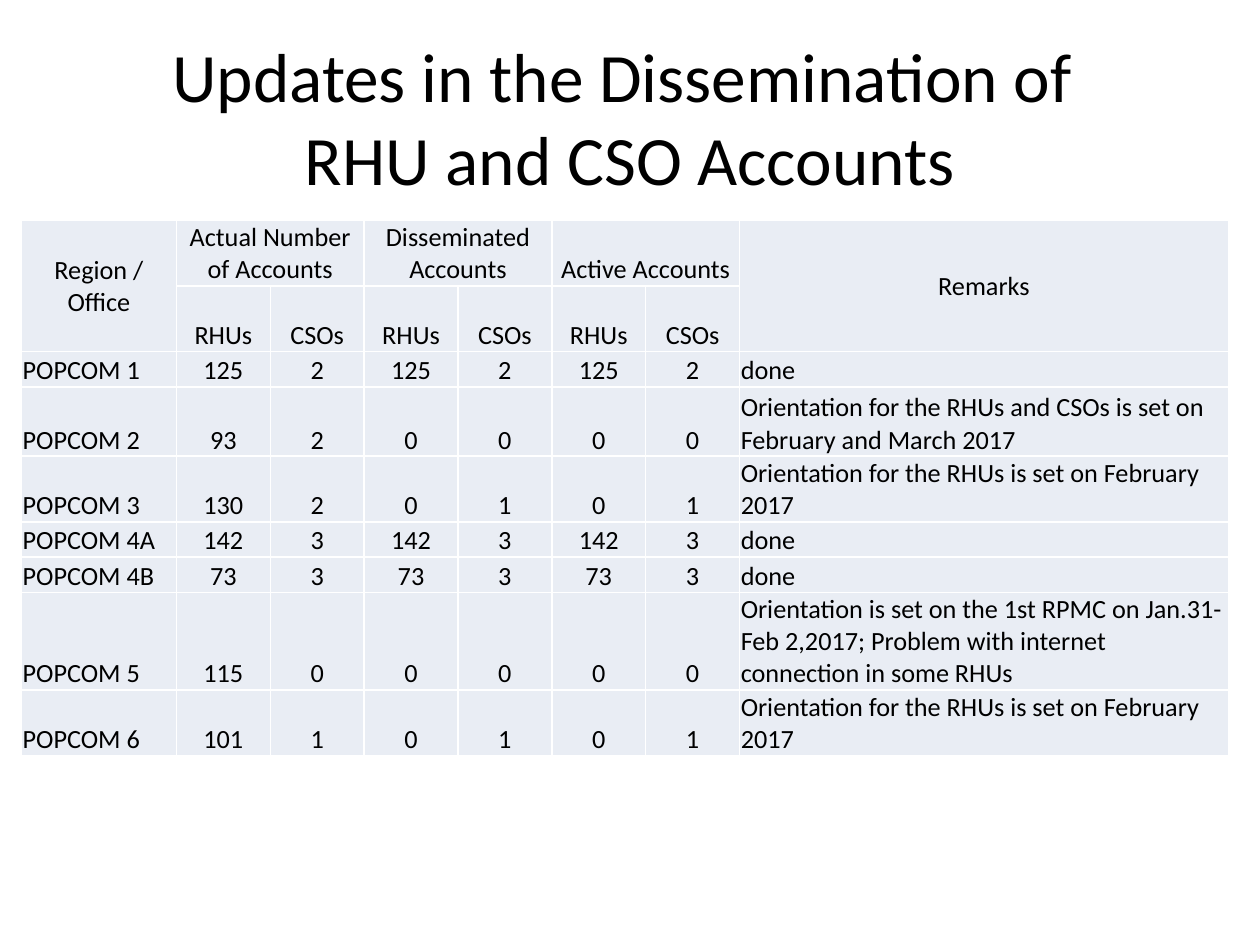
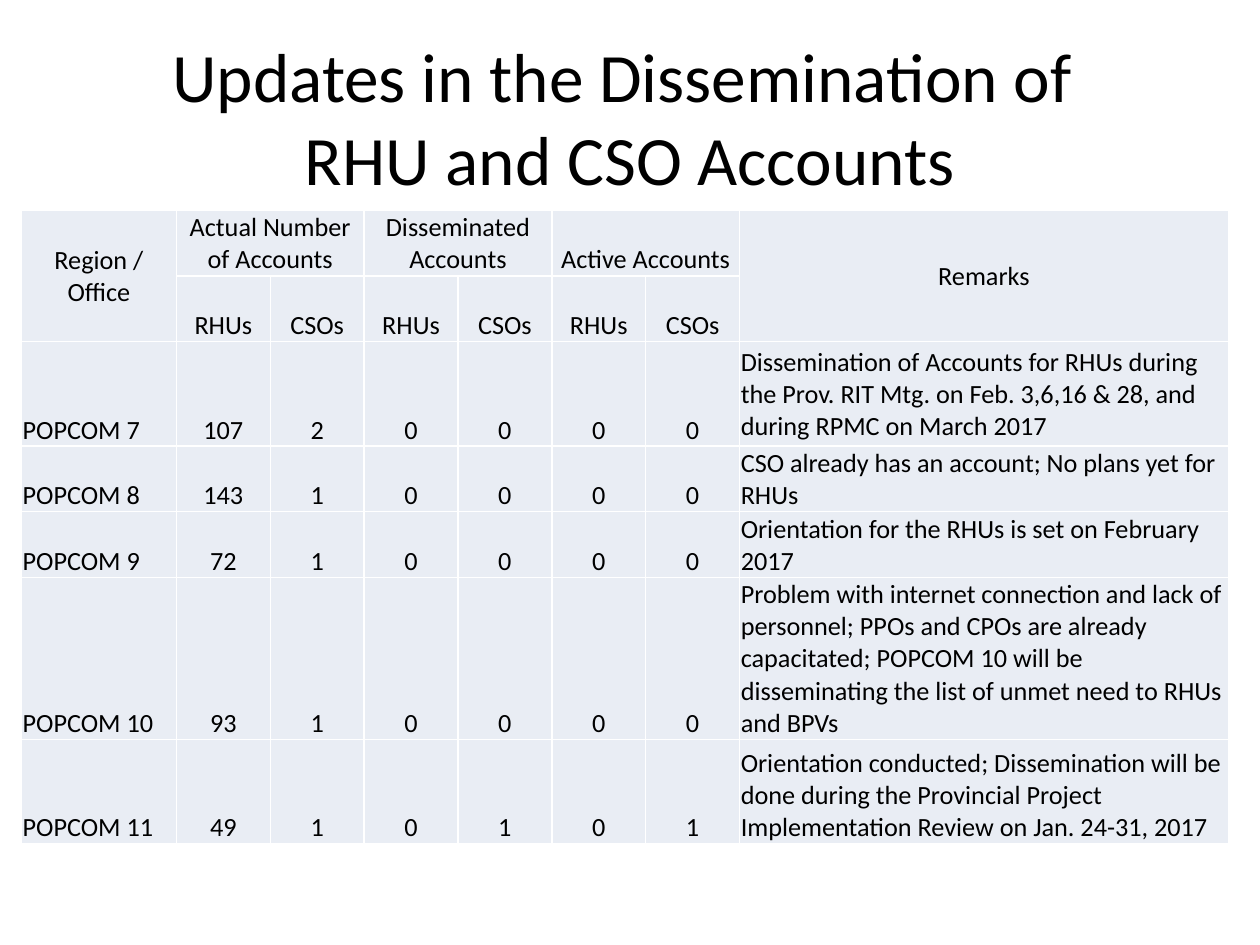
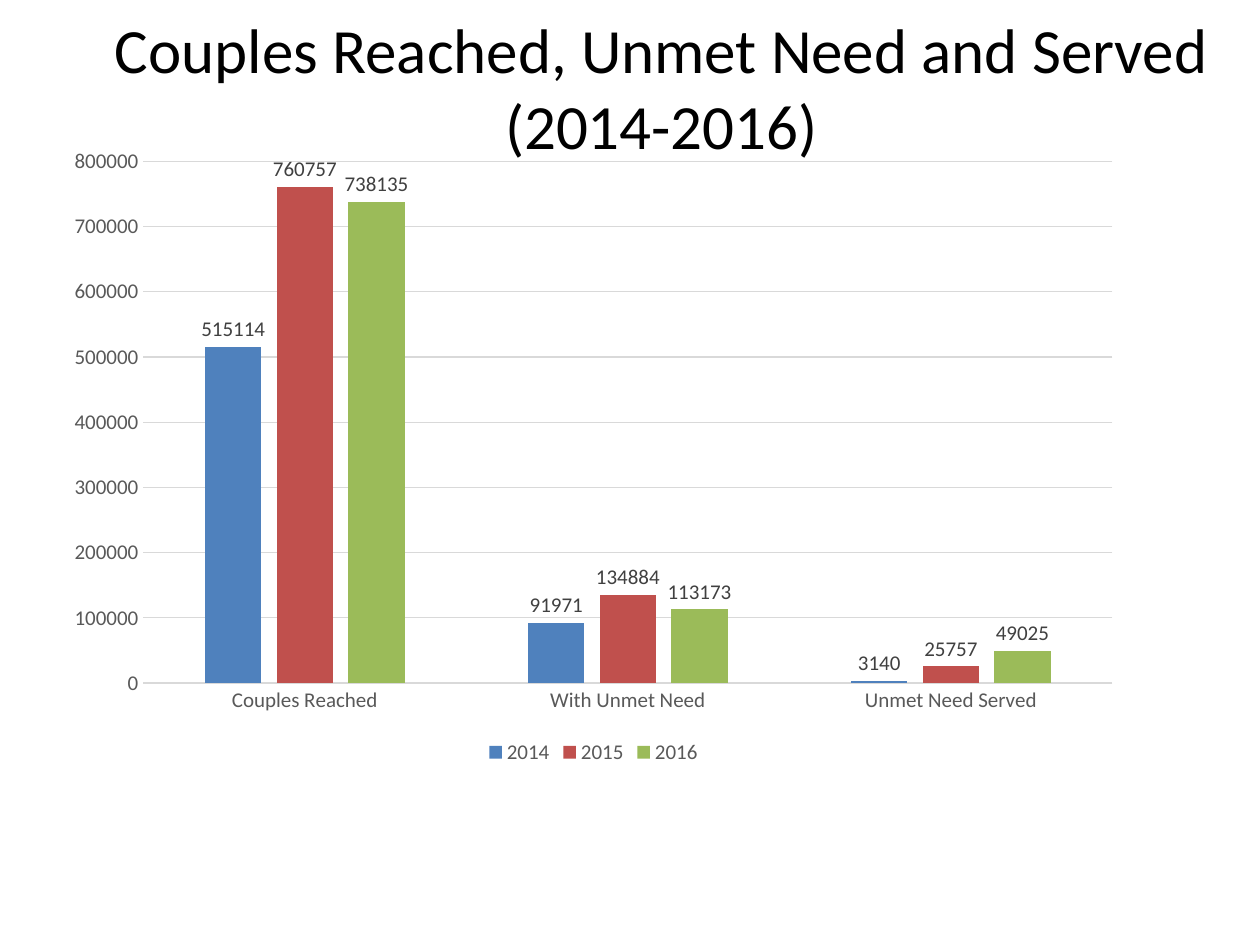
"""Build three slides: two account tables and a chart of couples reached."""
from pptx import Presentation, util as u
from pptx.chart.data import CategoryChartData
from pptx.dml.color import RGBColor
from pptx.enum import chart as ch, text

COLORS = {"text": "000000", "cell": "E9EDF4", "axis": "595959", "label": "404040",
          "grid": "D9D9D9", "2014": "4F81BD", "2015": "C0504D", "2016": "9BBB59"}
FONT = "Calibri"
CENTER, LEFT = text.PP_ALIGN.CENTER, text.PP_ALIGN.LEFT
MIDDLE, BOTTOM = text.MSO_ANCHOR.MIDDLE, text.MSO_ANCHOR.BOTTOM

prs = Presentation()
prs.slide_width, prs.slide_height = u.Inches(10), u.Inches(7.5)
COL, ROW = prs.slide_width / 100, prs.slide_height / 75


def style(font, size, color):
    font.name, font.size = FONT, u.Pt(size)
    font.color.rgb = RGBColor.from_string(COLORS[color])


def write(tf, words, size=15, color="text", align=CENTER, anchor=MIDDLE):
    tf.text = words
    tf.vertical_anchor = anchor
    for p in tf.paragraphs:
        p.alignment = align
        for r in p.runs:
            style(r.font, size, color)


ACCOUNTS = "Updates in the Dissemination of \vRHU and CSO Accounts"
titles = [(ACCOUNTS, 5, 3, 39.6), (ACCOUNTS, 5, 3, 39.6),
          ("Couples Reached, Unmet Need and Served (2014-2016)", 7.5, 0.6, 36)]
slides = []
for words, left, top, size in titles:
    s = prs.slides.add_slide(prs.slide_layouts[5])
    sp = s.shapes.title
    sp.left, sp.top = int(left * COL), int(top * ROW)
    sp.width, sp.height = int(90 * COL), int(12.5 * ROW)
    write(sp.text_frame, words, size)
    sp.text_frame.auto_size = text.MSO_AUTO_SIZE.NONE
    slides.append(s)

FEBRUARY = "Orientation for the RHUs is set on February 2017"
head = [["Region / Office", "Actual Number of Accounts", "", "Disseminated Accounts", "",
         "Active Accounts", "", "Remarks"],
        [""] + ["RHUs", "CSOs"] * 3 + [""]]
regions_north = [
    ["POPCOM 1", 125, 2, 125, 2, 125, 2, "done"],
    ["POPCOM 2", 93, 2, 0, 0, 0, 0,
     "Orientation for the RHUs and CSOs is set on February and March 2017"],
    ["POPCOM 3", 130, 2, 0, 1, 0, 1, FEBRUARY],
    ["POPCOM 4A", 142, 3, 142, 3, 142, 3, "done"],
    ["POPCOM 4B", 73, 3, 73, 3, 73, 3, "done"],
    ["POPCOM 5", 115, 0, 0, 0, 0, 0,
     "Orientation is set on the 1st RPMC on Jan.31-Feb 2,2017; "
     "Problem with internet connection in some RHUs"],
    ["POPCOM 6", 101, 1, 0, 1, 0, 1, FEBRUARY]]
regions_south = [
    ["POPCOM 7", 107, 2, 0, 0, 0, 0,
     "Dissemination of Accounts for RHUs during the Prov. RIT Mtg. "
     "on Feb. 3,6,16 & 28, and during RPMC on March 2017"],
    ["POPCOM 8", 143, 1, 0, 0, 0, 0, "CSO already has an account; No plans yet for RHUs"],
    ["POPCOM 9", 72, 1, 0, 0, 0, 0, FEBRUARY],
    ["POPCOM 10", 93, 1, 0, 0, 0, 0,
     "Problem with internet connection and lack of personnel; PPOs and CPOs are already "
     "capacitated; POPCOM 10 will be disseminating the list of unmet need to RHUs and BPVs"],
    ["POPCOM 11", 49, 1, 0, 1, 0, 1,
     "Orientation conducted; Dissemination will be done during the Provincial Project "
     "Implementation Review on Jan. 24-31, 2017"]]
tables = [(slides[0], 17.5, regions_north, [2.8, 5.5, 2.8, 2.8, 2.8, 2.8, 2.8]),
          (slides[1], 16.7, regions_south, [8.3, 3.3, 2.8, 2.8, 8.3])]
REGION, REMARKS, TOTAL = 12.3, 38.8, 95.8
widths = [REGION] + [(TOTAL - REGION - REMARKS) / 6] * 6 + [REMARKS]

for s, top, regions, heights in tables:
    rows = head + regions
    heights = [5, 2.9] + heights
    tbl = s.shapes.add_table(len(rows), len(widths), int(1.7 * COL), int(top * ROW),
                             int(TOTAL * COL), int(sum(heights) * ROW)).table
    tbl.first_row = tbl.horz_banding = False
    for column, width in zip(tbl.columns, widths):
        column.width = int(width * COL)
    for row, height in zip(tbl.rows, heights):
        row.height = int(height * ROW)
    for c in (0, 7):
        tbl.cell(0, c).merge(tbl.cell(1, c))
    for c in (1, 3, 5):
        tbl.cell(0, c).merge(tbl.cell(0, c + 1))
    for i, values in enumerate(rows):
        for j, value in enumerate(values):
            cell = tbl.cell(i, j)
            cell.margin_left = cell.margin_right = cell.margin_top = u.Inches(0.01)
            cell.margin_bottom = 0
            cell.fill.solid()
            cell.fill.fore_color.rgb = RGBColor.from_string(COLORS["cell"])
            if cell.is_spanned:
                continue
            edge = j in (0, 7)
            write(cell.text_frame, str(value), align=LEFT if edge and i > 1 else CENTER)
            cell.vertical_anchor = MIDDLE if edge and i == 0 else BOTTOM
    if regions is regions_south:
        tbl.cell(2, 7).vertical_anchor = MIDDLE

data = CategoryChartData()
data.categories = ["Couples Reached", "With Unmet Need", "Unmet Need Served"]
data.add_series("2014", [515114, 91971, 3140])
data.add_series("2015", [760757, 134884, 25757])
data.add_series("2016", [738135, 113173, 49025])
chart = slides[2].shapes.add_chart(
    ch.XL_CHART_TYPE.COLUMN_CLUSTERED, int(4.2 * COL), int(10.8 * ROW),
    int(85.8 * COL), int(50.3 * ROW), data).chart
style(chart.font, 10, "text")
chart.has_title = False
chart.has_legend = True
chart.legend.position = ch.XL_LEGEND_POSITION.BOTTOM
chart.legend.include_in_layout = False
style(chart.legend.font, 12, "axis")

cats, vals = chart.category_axis, chart.value_axis
for axis in (cats, vals):
    axis.major_tick_mark = axis.minor_tick_mark = ch.XL_TICK_MARK.NONE
    style(axis.tick_labels.font, 12, "axis")
vals.has_major_gridlines = True
vals.format.line.fill.background()
for line in (cats.format.line, vals.major_gridlines.format.line):
    line.color.rgb = RGBColor.from_string(COLORS["grid"])
    line.width = u.Pt(0.75)

plot = chart.plots[0]
plot.gap_width, plot.overlap, plot.vary_by_categories = 219, -27, False
for series in plot.series:
    series.format.fill.solid()
    series.format.fill.fore_color.rgb = RGBColor.from_string(COLORS[series.name])
    labels = series.data_labels
    labels.show_value = True
    labels.position = ch.XL_LABEL_POSITION.OUTSIDE_END
    style(labels.font, 12, "label")

prs.save("out.pptx")
